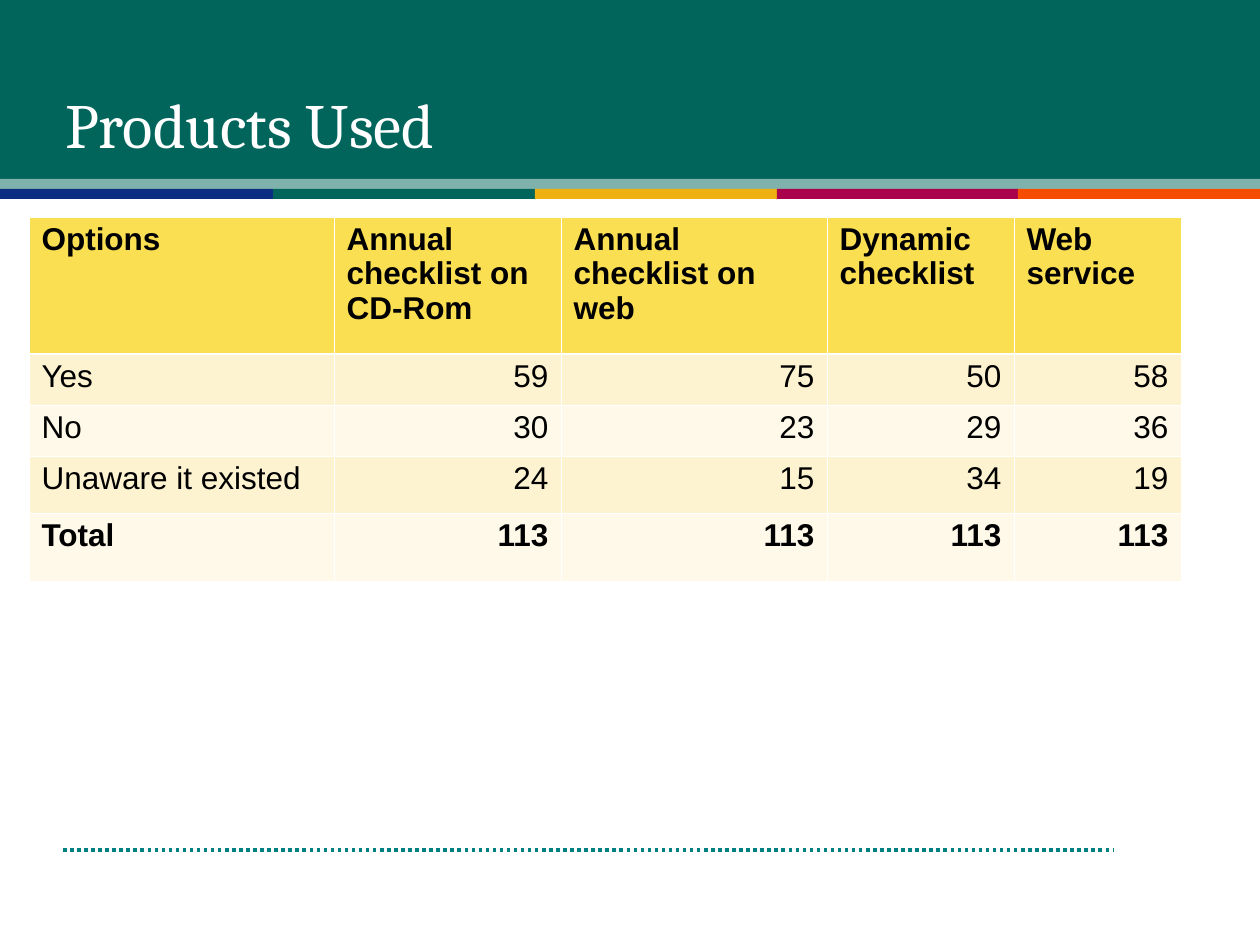
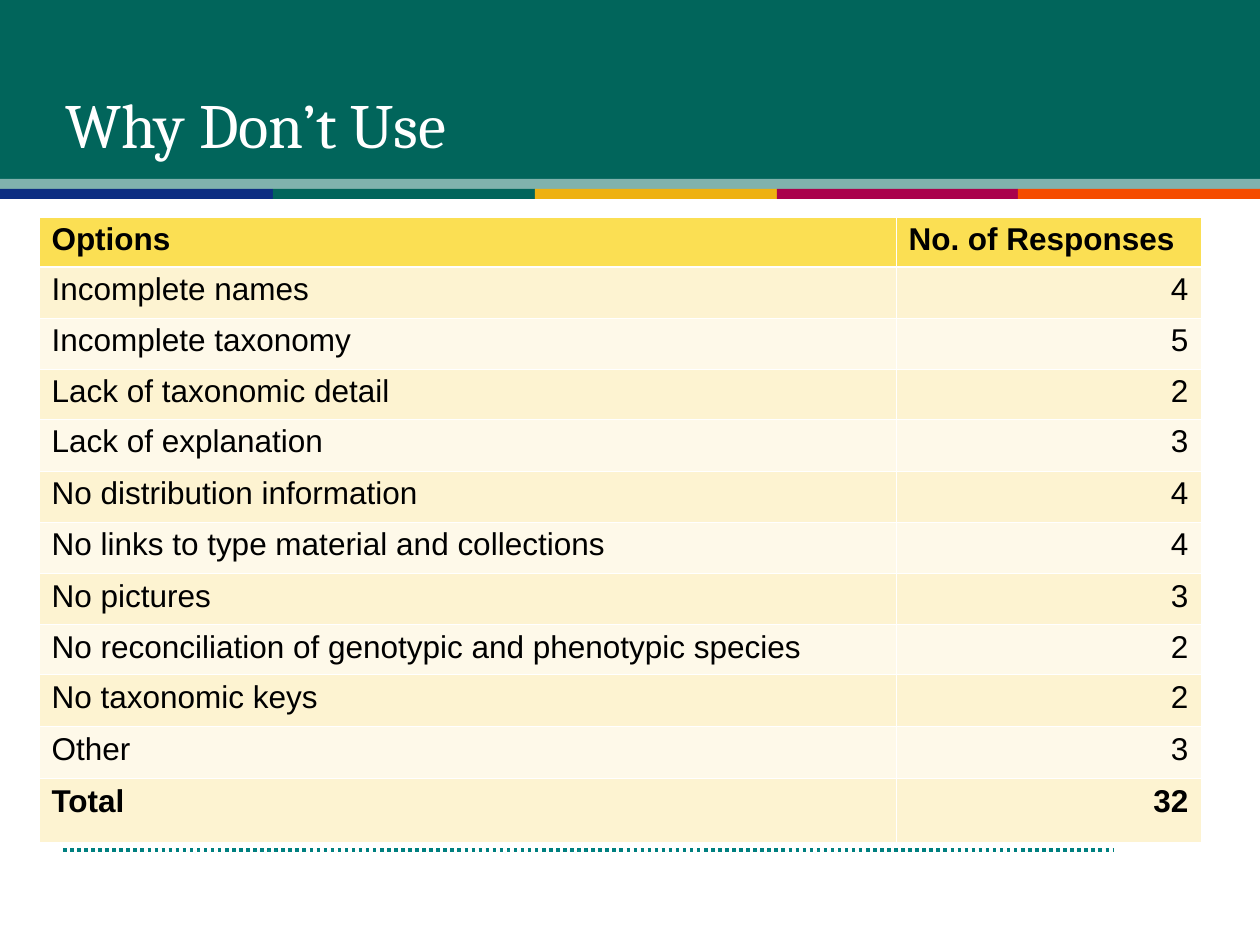
from itertools import pairwise

from pptx import Presentation
from pptx.dml.color import RGBColor
from pptx.enum.dml import MSO_LINE
from pptx.enum.shapes import MSO_CONNECTOR, MSO_SHAPE
from pptx.enum.text import MSO_ANCHOR, PP_ALIGN
from pptx.oxml.ns import qn
from pptx.util import Emu, Pt
from lxml.etree import SubElement

PX_PER_INCH = 126
SLIDE_W, SLIDE_H = 1260, 945
TABLE_TOP = 217
TITLE_BOX = (53, 42, 1134, 162)
FOOT_LINE = (63, 850, 1113, 850)

GREEN, PALE_GREEN, TEAL = "01655B", "80B2AD", "008080"
WHITE, BLACK = "FFFFFF", "000000"
HEADER_FILL = "FBDF53"
ROW_FILLS = ("FEF9E9", "FDF3D1")
STRIPE_EDGES = (0, 273, 535, 777, 1018, SLIDE_W)
STRIPE_FILLS = ("0C2E82", GREEN, "EEB111", "AA014C", "F54C00")
THIN, THICK = 0.45, 1.47

SLIDES = [
    {
        "title": "Products Used",
        "left": 29,
        "col_widths": (305, 227, 266, 187, 167),
        "row_heights": (137, 51, 51, 57, 68),
        "rows": [
            ("Options", "Annual checklist on CD-Rom", "Annual checklist on web",
             "Dynamic checklist", "Web service"),
            ("Yes", 59, 75, 50, 58),
            ("No", 30, 23, 29, 36),
            ("Unaware it existed", 24, 15, 34, 19),
            ("Total", 113, 113, 113, 113),
        ],
    },
    {
        "title": "Why Don’t Use",
        "left": 39,
        "col_widths": (857, 305),
        "row_heights": (50, 51, 51, 50, 52, 51, 52, 51, 50, 52, 52, 64),
        "rows": [
            ("Options", "No. of Responses"),
            ("Incomplete names", 4),
            ("Incomplete taxonomy", 5),
            ("Lack of taxonomic detail", 2),
            ("Lack of explanation", 3),
            ("No distribution information", 4),
            ("No links to type material and collections", 4),
            ("No pictures", 3),
            ("No reconciliation of genotypic and phenotypic species", 2),
            ("No taxonomic keys", 2),
            ("Other", 3),
            ("Total", 32),
        ],
    },
]


def px(n):
    return Emu(round(n * 914400 / PX_PER_INCH))


def rgb(color):
    return RGBColor.from_string(color)


def add_run(p, text, font, size, color, bold=False):
    r = p.add_run()
    r.text = text
    r.font.name = font
    r.font.size = Pt(size)
    r.font.bold = bold
    r.font.color.rgb = rgb(color)


def add_rect(s, left, top, width, height, color):
    sp = s.shapes.add_shape(MSO_SHAPE.RECTANGLE, *map(px, (left, top, width, height)))
    sp.shadow.inherit = False
    sp.fill.solid()
    sp.fill.fore_color.rgb = rgb(color)
    sp.line.fill.background()


def add_frame(s):
    line = s.shapes.add_connector(MSO_CONNECTOR.STRAIGHT, *map(px, FOOT_LINE))
    line.line.color.rgb = rgb(TEAL)
    line.line.width = Pt(2)
    line.line.dash_style = MSO_LINE.ROUND_DOT
    SubElement(line._element.spPr, qn("a:effectLst"))
    add_rect(s, 0, 0, SLIDE_W, 179, GREEN)
    add_rect(s, 0, 179, SLIDE_W, 10, PALE_GREEN)
    for (left, right), color in zip(pairwise(STRIPE_EDGES), STRIPE_FILLS):
        add_rect(s, left, 189, right - left, 10, color)


def add_title(s, text):
    tf = s.shapes.add_textbox(*map(px, TITLE_BOX)).text_frame
    tf.word_wrap = True
    tf.vertical_anchor = MSO_ANCHOR.MIDDLE
    add_run(tf.paragraphs[0], text, "Cambria", 36, WHITE)


def set_borders(cell, top, bottom):
    tc_pr = cell._tc.get_or_add_tcPr()
    for side, width in (("L", THIN), ("R", THIN), ("T", top), ("B", bottom)):
        ln = SubElement(tc_pr, qn(f"a:ln{side}"), w=str(Pt(width)))
        fill = SubElement(ln, qn("a:solidFill"))
        SubElement(fill, qn("a:srgbClr"), val=WHITE)


def fill_cell(cell, value, row, bold):
    set_borders(cell, THICK if row == 1 else THIN, THICK if row == 0 else THIN)
    cell.fill.solid()
    cell.fill.fore_color.rgb = rgb(ROW_FILLS[row % 2] if row else HEADER_FILL)
    p = cell.text_frame.paragraphs[0]
    p.line_spacing = 0.97
    if isinstance(value, int):
        p.alignment = PP_ALIGN.RIGHT
    add_run(p, str(value), "Arial", 18, BLACK, bold)


def add_data_table(s, left, col_widths, row_heights, rows):
    box = (left, TABLE_TOP, sum(col_widths), sum(row_heights))
    table = s.shapes.add_table(len(rows), len(col_widths), *map(px, box)).table
    for column, width in zip(table.columns, col_widths):
        column.width = px(width)
    for i, (values, height) in enumerate(zip(rows, row_heights)):
        table.rows[i].height = px(height)
        for j, value in enumerate(values):
            fill_cell(table.cell(i, j), value, i, i in (0, len(rows) - 1))


def main():
    prs = Presentation()
    prs.slide_width, prs.slide_height = px(SLIDE_W), px(SLIDE_H)
    for content in SLIDES:
        s = prs.slides.add_slide(prs.slide_layouts[6])
        add_frame(s)
        add_title(s, content["title"])
        add_data_table(s, content["left"], content["col_widths"],
                       content["row_heights"], content["rows"])
    prs.save("out.pptx")


if __name__ == "__main__":
    main()
